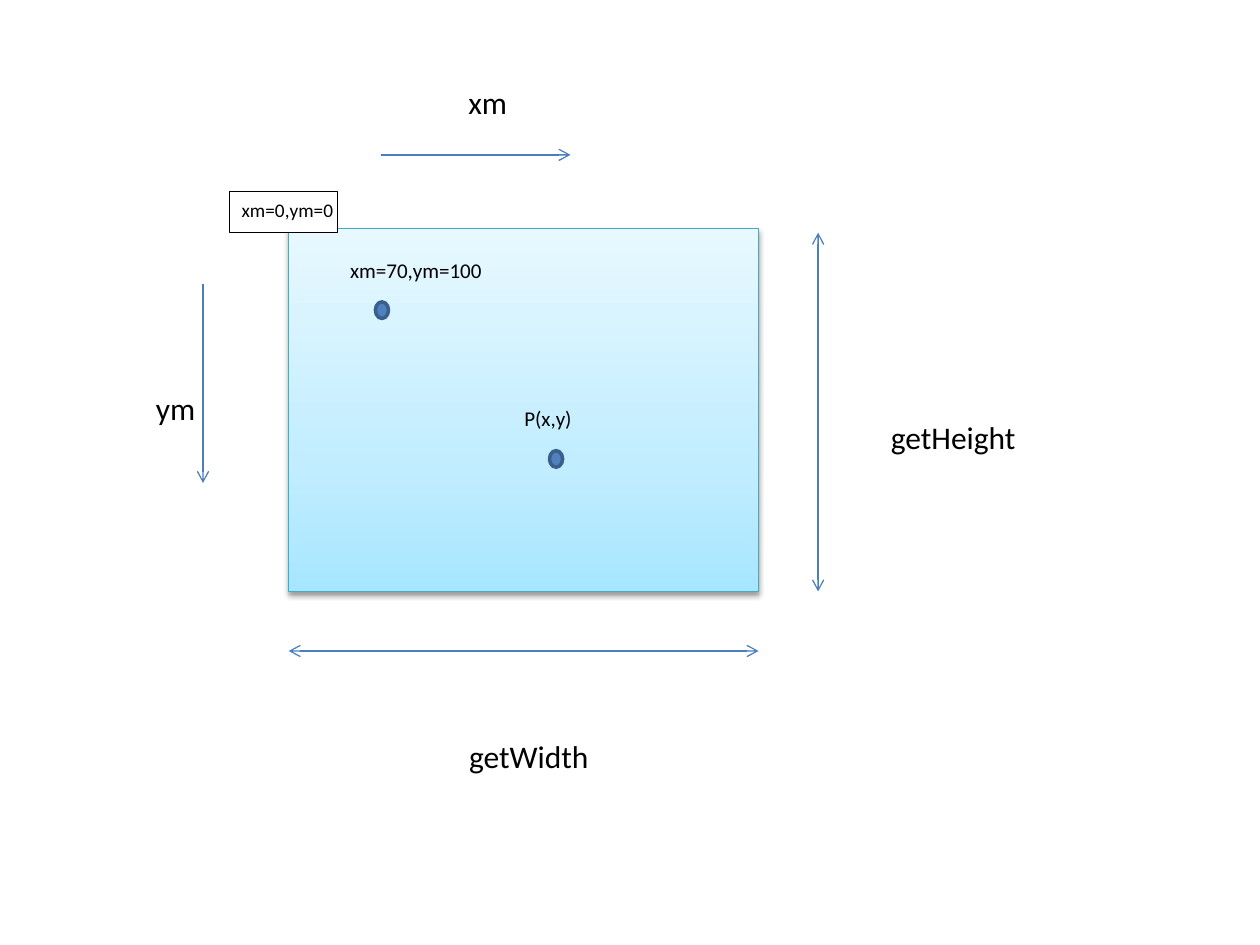
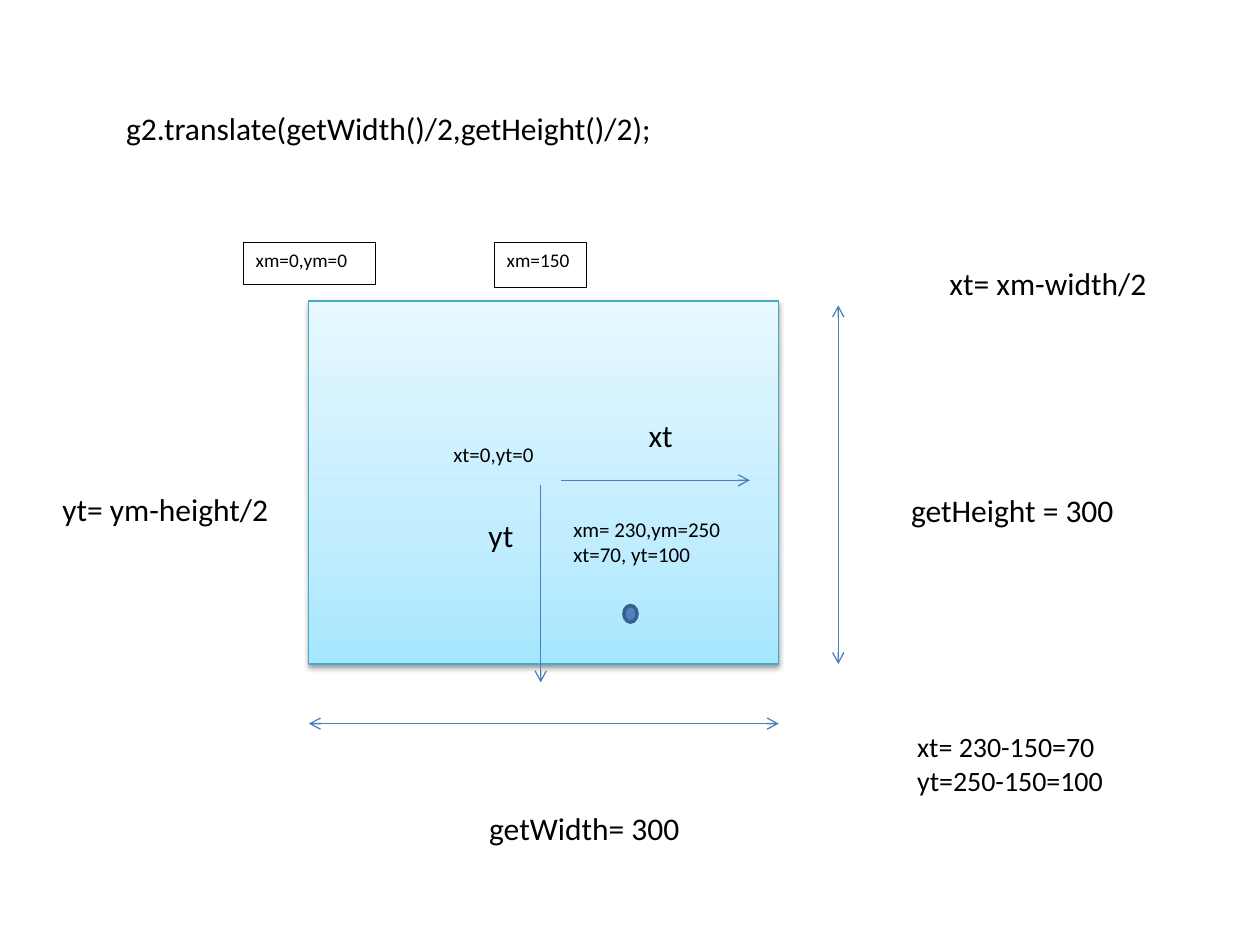
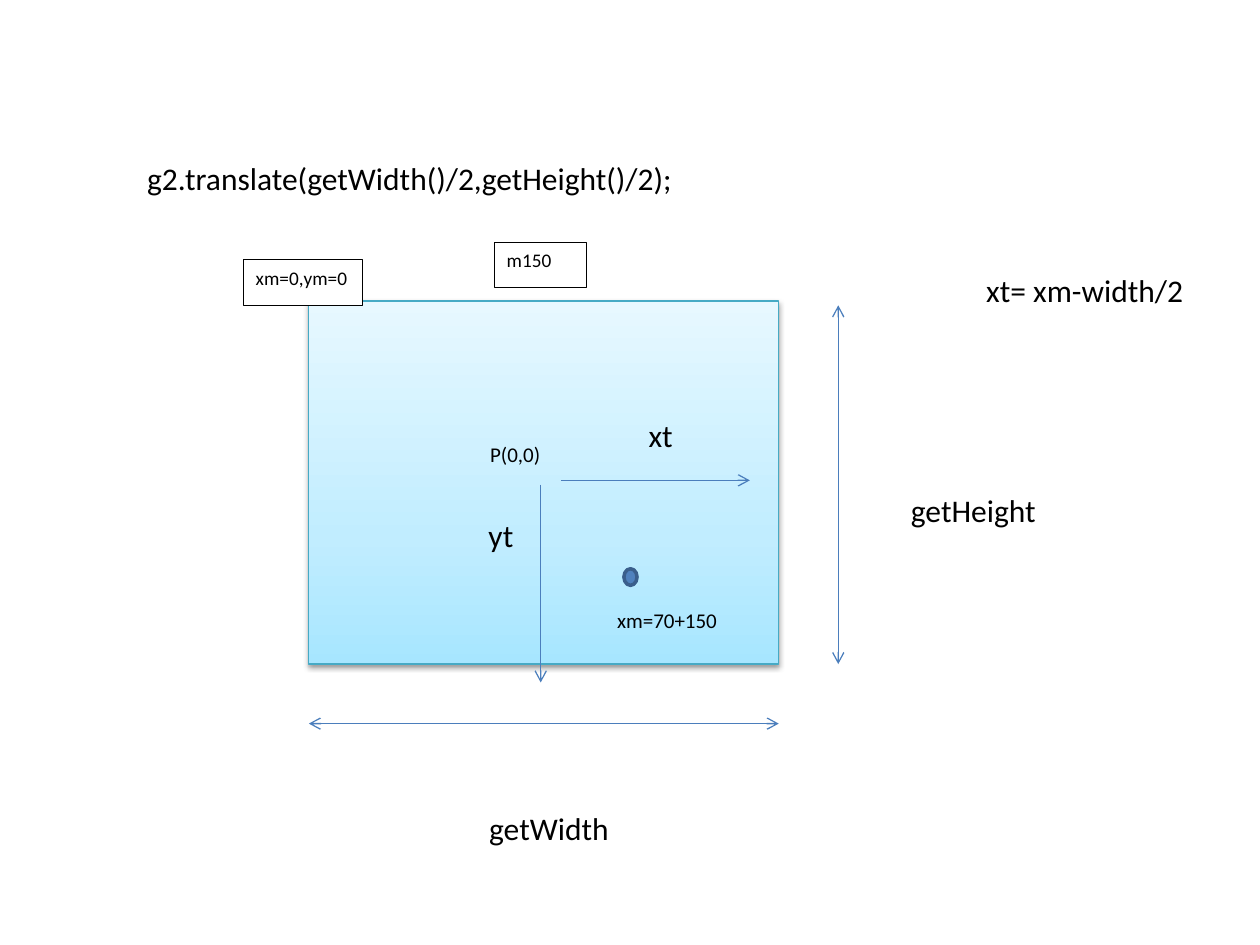
from pptx import Presentation
from pptx.dml.color import RGBColor
from pptx.enum.shapes import MSO_CONNECTOR as Connector, MSO_SHAPE as Shape
from pptx.enum.text import MSO_AUTO_SIZE as AutoSize
from pptx.oxml import parse_xml
from pptx.oxml.ns import nsdecls, qn
from pptx.oxml.xmlchemy import OxmlElement
from pptx.util import Pt

BLACK = RGBColor(0x00, 0x00, 0x00)
WHITE = RGBColor(0xFF, 0xFF, 0xFF)
ARROW_BLUE = RGBColor(0x4B, 0x7E, 0xBC)
DOT_FILL = RGBColor(0x4F, 0x81, 0xBD)
DOT_LINE = RGBColor(0x3A, 0x5F, 0x8C)
PANEL_LINE = RGBColor(0x46, 0xAA, 0xC5)
PANEL_STOPS = (
    (0, RGBColor(0xA7, 0xE6, 0xFF)),
    (35, RGBColor(0xC1, 0xED, 0xFF)),
    (100, RGBColor(0xE7, 0xF8, 0xFF)),
)
FONT = "Calibri"
PANEL_WIDTH, PANEL_HEIGHT = 268.5, 207.5
ARROW_GAP = 34
DOT_WIDTH, DOT_HEIGHT = 7.5, 9.5


def add_text(page, text, left, top, width, height=29, size=18, wrap=False, framed=False):
    box = page.shapes.add_textbox(Pt(left), Pt(top), Pt(width), Pt(height))
    frame = box.text_frame
    frame.word_wrap = wrap
    frame.auto_size = AutoSize.NONE if framed else AutoSize.SHAPE_TO_FIT_TEXT
    if framed:
        box.fill.solid()
        box.fill.fore_color.rgb = WHITE
        box.line.color.rgb = BLACK
        box.line.width = Pt(0.5)
    frame.text = text
    for para in frame.paragraphs:
        for span in para.runs:
            span.font.name = FONT
            span.font.size = Pt(size)
            span.font.color.rgb = BLACK


def add_arrow(page, start, end, ends=("tailEnd",)):
    arrow = page.shapes.add_connector(Connector.STRAIGHT, *map(Pt, start + end))
    arrow.line.color.rgb = ARROW_BLUE
    arrow.line.width = Pt(0.75)
    for name in ends:
        tip = OxmlElement(f"a:{name}")
        tip.set("type", "arrow")
        arrow.line._get_or_add_ln().append(tip)
    arrow._element.spPr.append(OxmlElement("a:effectLst"))


frame_format = {"size": 11, "framed": True}
note_format = {"size": 12, "wrap": True, "height": 22}
screen_axes = [((218, 88.5), (326, 88.5)), ((116, 162), (116, 276))]
centre_axes = [((320.5, 274.5), (428.5, 274.5)), ((309, 277), (309, 390))]
centre_names = [("xt", 363.5, 234, 29, {}), ("yt", 272, 291.5, 29, {})]
translate_call = "g2.translate(getWidth()/2,getHeight()/2);"

diagrams = [
    {
        "panel": (165, 130.5),
        "sizes": (("getWidth", 83.5), ("getHeight", 86.5)),
        "axes": screen_axes,
        "dots": [(214.5, 172.5), (314, 257.5)],
        "texts": [
            ("xm=0,ym=0", 131, 109.5, 62, {"height": 23.5, **frame_format}),
            ("xm", 260.5, 44, 37, {}),
            ("ym", 82, 219, 37.5, {}),
            ("xm=70,ym=100", 193, 143.5, 104.5, note_format),
            ("P(x,y)", 292.5, 228, 104.5, note_format),
        ],
    },
    {
        "panel": (176.5, 172),
        "sizes": (("getWidth= 300", 124.5), ("getHeight = 300", 132)),
        "axes": centre_axes,
        "dots": [(356.5, 346)],
        "texts": centre_names + [
            ("xm=0,ym=0", 139, 138.5, 75.5, {"height": 24, **frame_format}),
            ("xm=150", 282.5, 138.5, 52.5, {"height": 26, **frame_format}),
            (translate_call, 65, 58.5, 318, {}),
            ("xm= 230,ym=250\nxt=70, yt=100", 320.5, 291.5, 117.5, {**note_format, "height": 36}),
            ("xt=0,yt=0", 252, 248.5, 83, note_format),
            ("xt= xm-width/2", 535.5, 147.5, 128, {}),
            ("yt= ym-height/2", 28.5, 276.5, 134, {}),
            ("xt= 230-150=70\nyt=250-150=100", 517, 413.5, 122.5, {"size": 16, "height": 46}),
        ],
    },
    {
        "panel": (176.5, 172),
        "sizes": (("getWidth", 83.5), ("getHeight", 86.5)),
        "axes": centre_axes,
        "dots": [(356.5, 325)],
        "texts": centre_names + [
            ("xm=0,ym=0", 139, 148.5, 68, {"height": 26, **frame_format}),
            ("m150", 282.5, 138.5, 52.5, {"height": 26, **frame_format}),
            (translate_call, 77, 87.5, 318, {}),
            ("P(0,0)", 273, 248.5, 47.5, note_format),
            ("xt= xm-width/2", 556.5, 151.5, 128, {}),
            ("xm=70+150", 345.5, 343.5, 79, note_format),
        ],
    },
]

deck = Presentation()
deck.slide_width = Pt(720)
deck.slide_height = Pt(540)

for diagram in diagrams:
    page = deck.slides.add_slide(deck.slide_layouts[6])
    left, top = diagram["panel"]
    right, bottom = left + PANEL_WIDTH, top + PANEL_HEIGHT

    panel = page.shapes.add_shape(Shape.RECTANGLE, Pt(left), Pt(top), Pt(PANEL_WIDTH), Pt(PANEL_HEIGHT))
    panel.fill.gradient()
    panel.fill.gradient_angle = 90
    gradient = panel._element.spPr.find(qn("a:gradFill"))
    stops = "".join(
        f'<a:gs pos="{position * 1000}"><a:srgbClr val="{color}"/></a:gs>'
        for position, color in PANEL_STOPS
    )
    gradient.replace(
        gradient.find(qn("a:gsLst")),
        parse_xml(f'<a:gsLst {nsdecls("a")}>{stops}</a:gsLst>'),
    )
    panel.line.color.rgb = PANEL_LINE
    panel.line.width = Pt(0.75)
    panel.shadow.inherit = False
    panel._element.spPr.find(qn("a:effectLst")).append(parse_xml(
        f'<a:outerShdw {nsdecls("a")} blurRad="{Pt(3.1)}" dist="{Pt(1.6)}" dir="5400000" rotWithShape="0">'
        '<a:srgbClr val="000000"><a:alpha val="38000"/></a:srgbClr></a:outerShdw>'
    ))

    for start, end in diagram["axes"]:
        add_arrow(page, start, end)
    both_ends = ("headEnd", "tailEnd")
    add_arrow(page, (left, bottom + ARROW_GAP), (right, bottom + ARROW_GAP), both_ends)
    add_arrow(page, (right + ARROW_GAP, top + 2.5), (right + ARROW_GAP, bottom), both_ends)

    (width_name, width_span), (height_name, height_span) = diagram["sizes"]
    add_text(page, width_name, left + 96, top + 287, width_span)
    add_text(page, height_name, left + 337, top + 105, height_span)

    for dot_left, dot_top in diagram["dots"]:
        dot = page.shapes.add_shape(Shape.OVAL, Pt(dot_left), Pt(dot_top), Pt(DOT_WIDTH), Pt(DOT_HEIGHT))
        dot.fill.solid()
        dot.fill.fore_color.rgb = DOT_FILL
        dot.line.color.rgb = DOT_LINE
        dot.line.width = Pt(2)
        dot.shadow.inherit = False

    for text, text_left, text_top, text_width, style in diagram["texts"]:
        add_text(page, text, text_left, text_top, text_width, **style)

deck.save("out.pptx")
